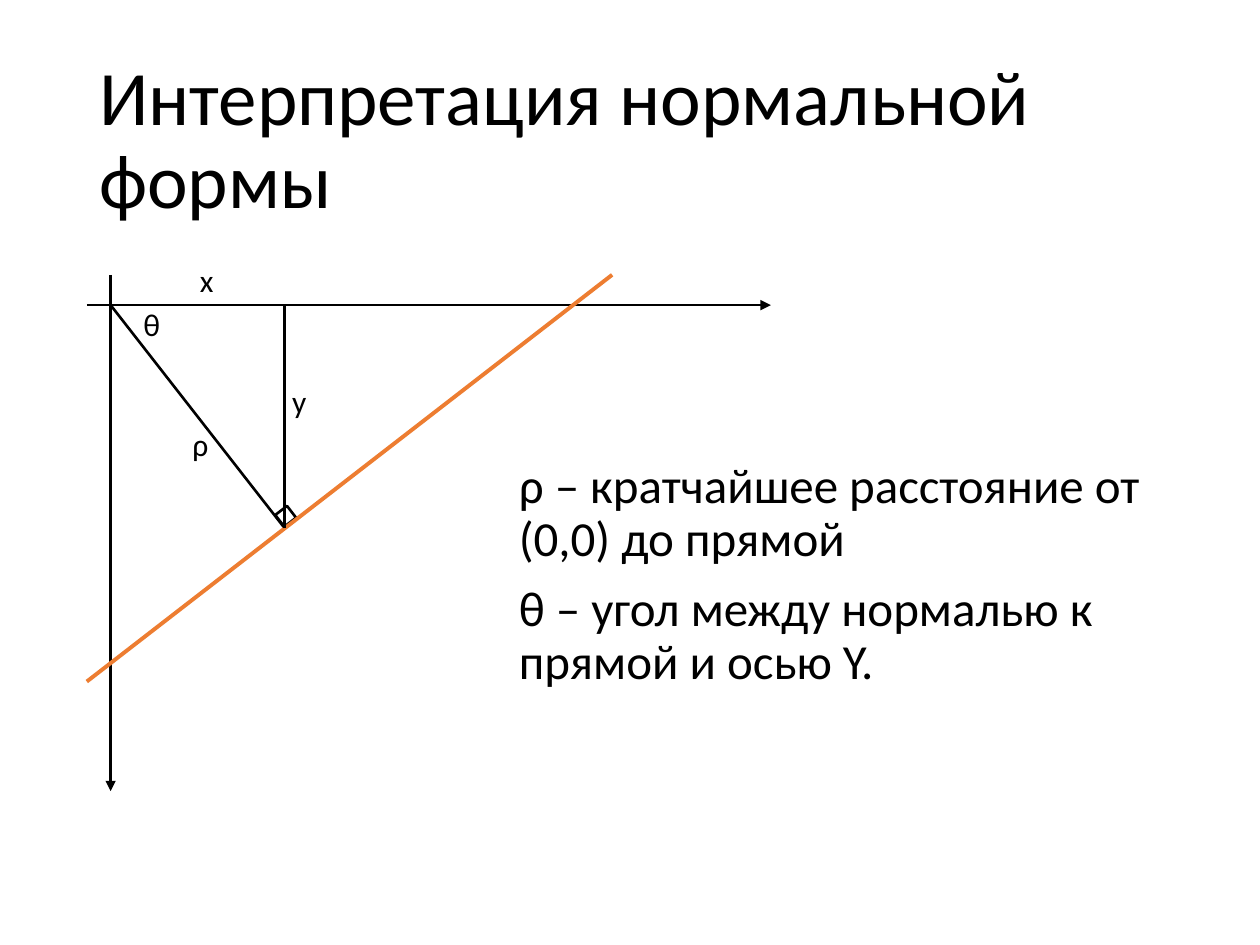
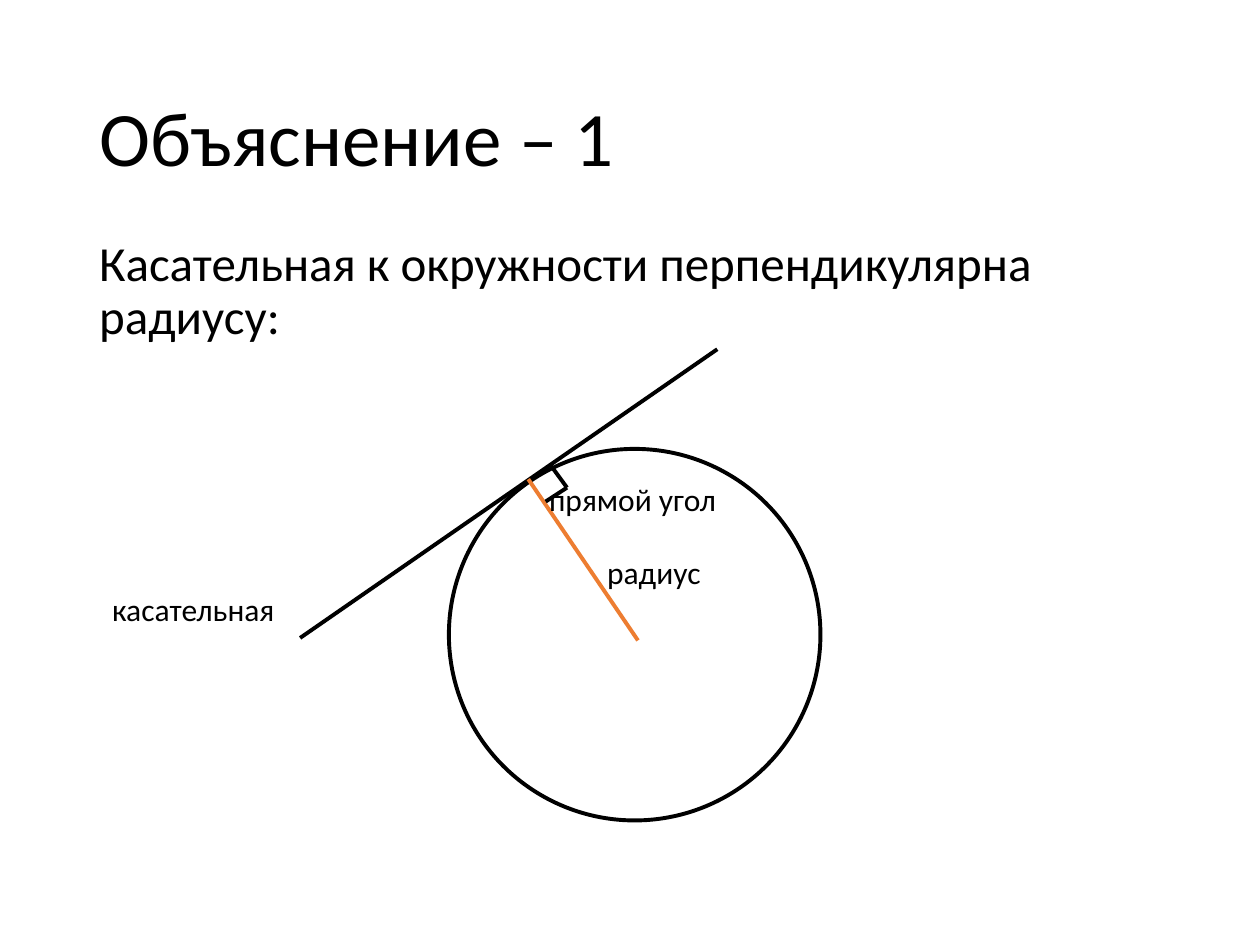
from lxml.etree import SubElement
from pptx import Presentation
from pptx.dml.color import RGBColor
from pptx.enum.shapes import MSO_CONNECTOR, MSO_SHAPE
from pptx.enum.text import MSO_ANCHOR, MSO_AUTO_SIZE
from pptx.oxml.ns import qn
from pptx.util import Cm, Pt

BLACK = RGBColor(0x00, 0x00, 0x00)
WHITE = RGBColor(0xFF, 0xFF, 0xFF)
ORANGE = RGBColor(0xED, 0x7D, 0x31)
FONT = "Calibri"
THIN, THICK = 1.5, 2.25
TITLE = (1.75, 1.02, 21.9, 3.68)
LABEL_H = 1.02


def add_text(slide, lines, box, size=18, anchor=MSO_ANCHOR.TOP,
             leading=None, before=None, wrap=True):
    """Write one paragraph per line into a box given in cm."""
    shape = slide.shapes.add_textbox(*map(Cm, box))
    frame = shape.text_frame
    frame.word_wrap = wrap
    frame.auto_size = MSO_AUTO_SIZE.NONE if wrap else MSO_AUTO_SIZE.SHAPE_TO_FIT_TEXT
    frame.vertical_anchor = anchor
    for i, line in enumerate(lines):
        para = frame.add_paragraph() if i else frame.paragraphs[0]
        if leading is not None:
            para.line_spacing = leading
        if before is not None:
            para.space_before = Pt(before)
        run = para.add_run()
        run.text = line
        run.font.name = FONT
        run.font.size = Pt(size)
        run.font.color.rgb = BLACK


def add_title(slide, line):
    add_text(slide, [line], TITLE, size=44, anchor=MSO_ANCHOR.MIDDLE, leading=0.9)


def add_body(slide, lines, box):
    add_text(slide, lines, box, size=28, leading=0.9, before=10)


def add_labels(slide, left, top, labels):
    for name, x, y, width in labels:
        add_text(slide, [name], (left + x, top + y, width, LABEL_H), wrap=False)


def add_line(slide, left, top, start, end, color=BLACK, width=THIN, arrow=False):
    """Join two points measured from the figure's corner."""
    (x1, y1), (x2, y2) = start, end
    link = slide.shapes.add_connector(
        MSO_CONNECTOR.STRAIGHT,
        Cm(left + x1), Cm(top + y1), Cm(left + x2), Cm(top + y2))
    link.line.color.rgb = color
    link.line.width = Pt(width)
    if arrow:
        SubElement(link.line._get_or_add_ln(), qn("a:tailEnd"), type="triangle")
    SubElement(link._element.spPr, qn("a:effectLst"))


def add_outline(slide, kind, x, y, side, width, fill=None):
    shape = slide.shapes.add_shape(kind, Cm(x), Cm(y), Cm(side), Cm(side))
    shape.shadow.inherit = False
    if fill is None:
        shape.fill.background()
    else:
        shape.fill.solid()
        shape.fill.fore_color.rgb = fill
    shape.line.color.rgb = BLACK
    shape.line.width = Pt(width)
    return shape


def draw_normal(slide, left, top):
    """Axes, slanted line and the normal dropped on it."""
    zero_x, zero_y = 0.48, 0.61
    foot_x, foot_y = 3.99, 5.11
    zero, foot = (zero_x, zero_y), (foot_x, foot_y)

    # Right angle mark
    mark = add_outline(slide, MSO_SHAPE.RECTANGLE, left + 3.86, top + 4.72, 0.3, THIN)
    mark.rotation = 322.5

    # Axes
    add_line(slide, left, top, (zero_x, 0), (zero_x, 10.41), arrow=True)
    add_line(slide, left, top, (0, zero_y), (13.79, zero_y), arrow=True)

    # Normal, slanted line and y leg
    add_line(slide, left, top, zero, foot)
    add_line(slide, left, top, (0, 8.2), (10.59, 0), color=ORANGE, width=THICK)
    add_line(slide, left, top, foot, (foot_x, zero_y))

    add_labels(slide, left, top, [
        ("ρ", 1.88, 2.9, 0.89),
        ("θ", 0.89, 0.48, 0.89),
        ("y", 3.89, 2.03, 0.86),
        ("x", 2.03, -0.41, 0.86),
    ])


def draw_tangent(slide, left, top):
    """Circle with a tangent and the radius to the touch point."""
    add_outline(slide, MSO_SHAPE.OVAL, left + 7.04, top + 2.01, 7.49, THICK, fill=WHITE)

    # Tangent and radius
    add_line(slide, left, top, (4.04, 5.82), (12.45, 0), width=THICK)
    add_line(slide, left, top, (10.85, 5.87), (8.64, 2.62), color=ORANGE, width=THICK)

    # Right angle mark
    corner = (9.42, 2.79)
    for end in ((9.09, 2.34), (8.99, 3.07)):
        add_line(slide, left, top, corner, end, width=THICK)

    add_labels(slide, left, top, [
        ("радиус", 9.98, 3.99, 2.87),
        ("касательная", 0, 4.72, 4.72),
        ("прямой угол", 8.81, 2.51, 4.67),
    ])


def main():
    deck = Presentation()
    deck.slide_width, deck.slide_height = Cm(25.4), Cm(19.05)
    blank = deck.slide_layouts[6]

    # Normal form
    slide = deck.slides.add_slide(blank)
    add_title(slide, "Интерпретация нормальной формы")
    draw_normal(slide, 1.75, 5.54)
    add_body(slide, [
        "ρ – кратчайшее расстояние от (0,0) до прямой",
        "θ – угол между нормалью к прямой и осью Y.",
    ], (10.21, 9.17, 13.44, 9.17))

    # Tangent and radius
    slide = deck.slides.add_slide(blank)
    add_title(slide, "Объяснение – 1")
    add_body(slide, ["Касательная к окружности перпендикулярна радиусу:"],
             (1.75, 4.7, 20.24, 12.24))
    draw_tangent(slide, 2.01, 7.04)

    deck.save("out.pptx")


if __name__ == "__main__":
    main()
